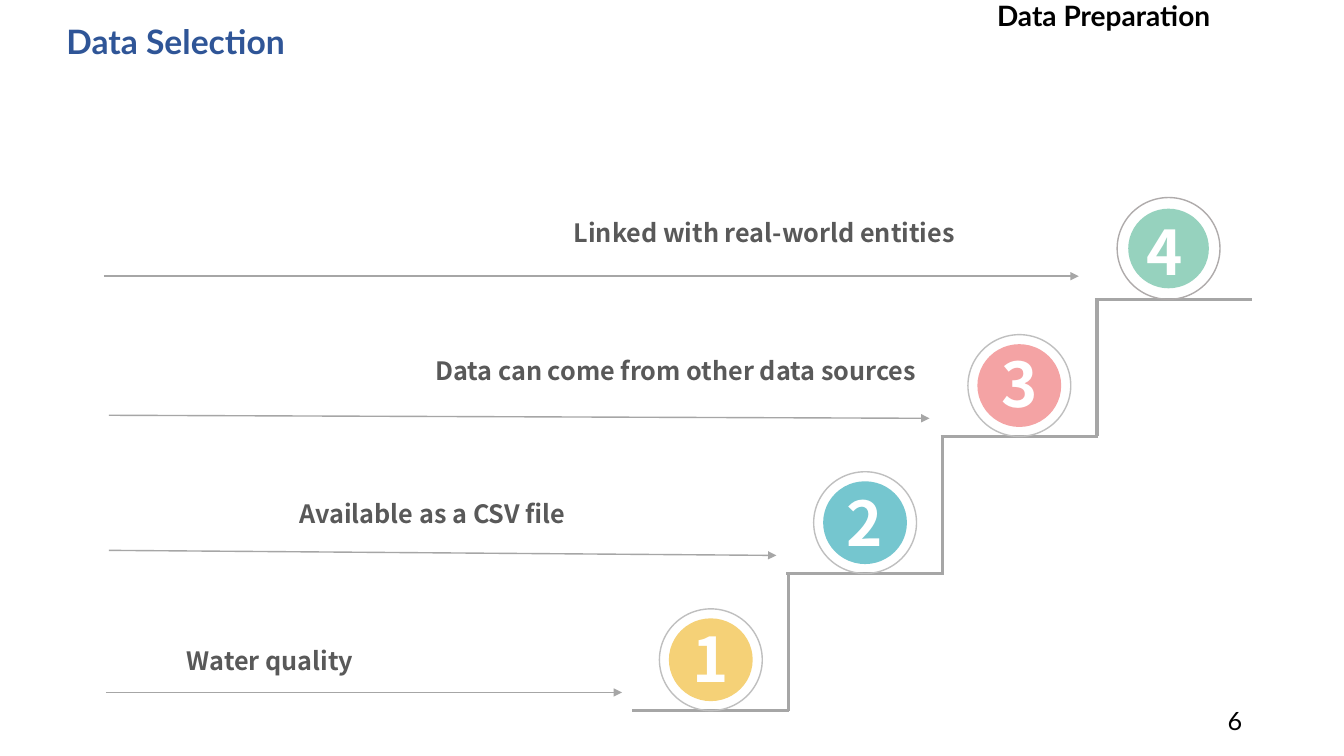
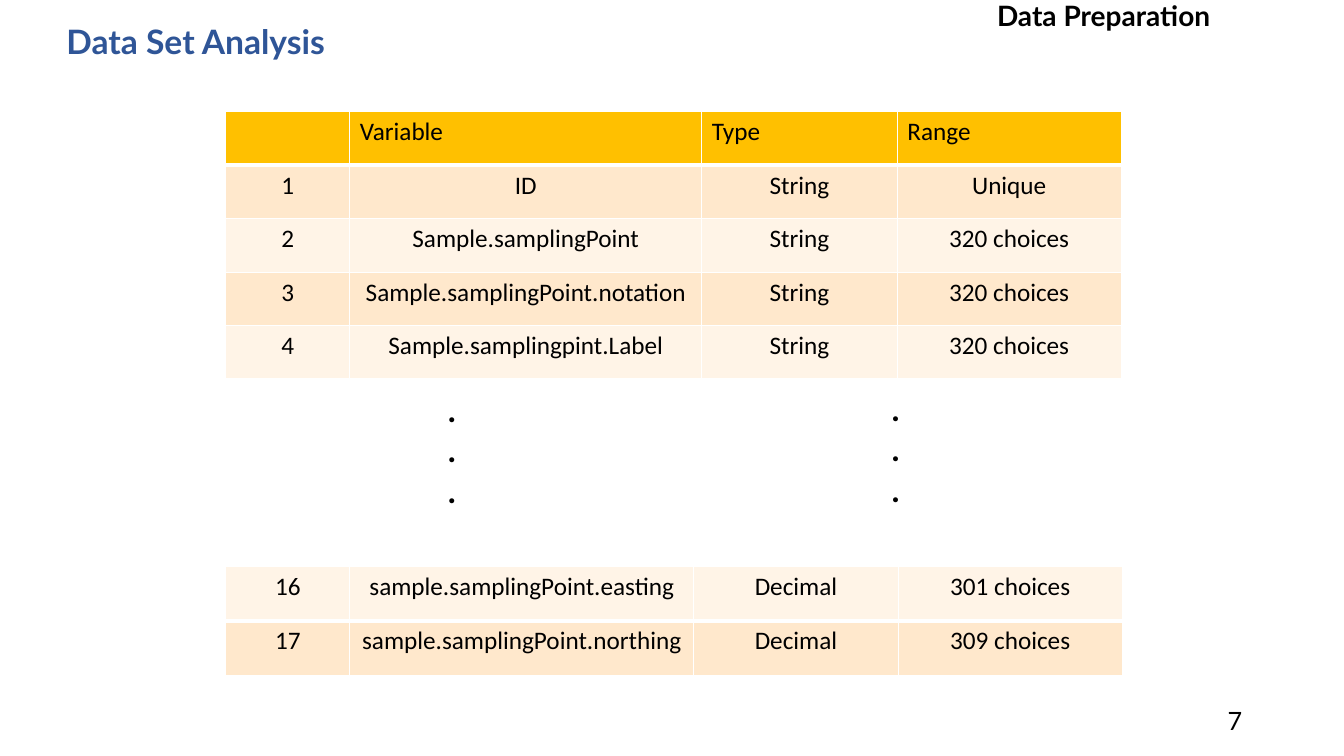
"""Builds two data preparation slides: a staircase of criteria and a variable table."""
from lxml import etree
from pptx import Presentation
from pptx.dml.color import RGBColor
from pptx.enum.shapes import MSO_CONNECTOR, MSO_SHAPE
from pptx.enum.text import MSO_ANCHOR, MSO_AUTO_SIZE, PP_ALIGN
from pptx.oxml.ns import qn
from pptx.util import Emu, Pt

STRAIGHT, OVAL = MSO_CONNECTOR.STRAIGHT, MSO_SHAPE.OVAL
TOP, MIDDLE = MSO_ANCHOR.TOP, MSO_ANCHOR.MIDDLE
LEFT, CENTER, RIGHT = PP_ALIGN.LEFT, PP_ALIGN.CENTER, PP_ALIGN.RIGHT
FIT = MSO_AUTO_SIZE.SHAPE_TO_FIT_TEXT


class Theme:
    """Colours, fonts and type sizes."""
    black, white, blue, text = "000000", "FFFFFF", "2F5597", "595959"
    line, ring = "A6A6A6", "BFBFBF"
    header, band_dark, band_light = "FFC000", "FFE8CC", "FFF4E7"
    head_font, label_font, body_font = "Lato", "Noto Sans CJK SC", "Calibri"
    title, section, body, digit, dots = 24, 20, 18, 44, 24


SECTION = "Data Preparation"
STEPS = [
    dict(label="Water quality", box=(78, 635, 380, 40), arrow=(105, 687, 617, 687),
         fill="F5D177", ring=Theme.ring, ring_dx=27, digit=(23, 7)),
    dict(label="Available as a CSV file", box=(119, 489, 620, 40), arrow=(108, 546, 770, 551),
         fill="75C6CF", ring=Theme.ring, ring_dx=27, digit=(23, 8)),
    dict(label="Data can come from other data sources", box=(213, 348, 914, 40),
         arrow=(108, 412, 922, 415), fill="F4A3A4", ring=Theme.ring, ring_dx=27, digit=(23, 6)),
    dict(label="Linked with real-world entities", box=(385, 211, 746, 40),
         arrow=(103, 274, 1070, 274), fill="96D2BE", ring="AFABAB", ring_dx=22, digit=(19, 11),
         outlined=False),
]
STEP_X, STEP_Y, STEP_DX, STEP_DY, TREAD = 627, 705, 153, 136, 156
RING = 101
DISC_W, DISC_H, DISC_GAP = 80, 79, 11

HEADER = ["", "Variable", "Type", "Range"]
FIRST_ROWS = [
    ["1", "ID", "String", "Unique"],
    ["2", "Sample.samplingPoint", "String", "320 choices"],
    ["3", "Sample.samplingPoint.notation", "String", "320 choices"],
    ["4", "Sample.samplingpint.Label", "String", "320 choices"],
]
LAST_ROWS = [
    ["16", "sample.samplingPoint.easting", "Decimal", "301 choices"],
    ["17", "sample.samplingPoint.northing", "Decimal", "309 choices"],
]
DOTS_AT = [(434, 381), (874, 380)]


def px(n):
    return Emu(n * 9144)


def rgb(color):
    return RGBColor.from_string(color)


def write(tf, text, size=Theme.body, color=Theme.black, font=Theme.body_font,
          bold=False, align=LEFT, spacing=None):
    for i, line in enumerate(text.split("\n")):
        p = tf.add_paragraph() if i else tf.paragraphs[0]
        p.alignment = align
        if spacing:
            p.line_spacing = spacing
        r = p.add_run()
        r.text = line
        r.font.size, r.font.name, r.font.bold = Pt(size), font, bold
        r.font.color.rgb = rgb(color)


def add_text(s, box, text, anchor=TOP, wrap=True, fit=False, **style):
    tf = s.shapes.add_textbox(*map(px, box)).text_frame
    tf.word_wrap, tf.vertical_anchor = wrap, anchor
    if fit:
        tf.auto_size = FIT
    write(tf, text, **style)


def add_line(s, ends, width, arrow=False):
    c = s.shapes.add_connector(STRAIGHT, *map(px, ends))
    c.line.color.rgb, c.line.width = rgb(Theme.line), Pt(width)
    if arrow:
        etree.SubElement(c.line._get_or_add_ln(), qn("a:tailEnd"), type="triangle")
    etree.SubElement(c._element.spPr, qn("a:effectLst"))


def add_oval(s, box, fill=None, line=None, width=1):
    sp = s.shapes.add_shape(OVAL, *map(px, box))
    sp.shadow.inherit = False
    if fill:
        sp.fill.solid()
        sp.fill.fore_color.rgb = rgb(fill)
    else:
        sp.fill.background()
    if line:
        sp.line.color.rgb, sp.line.width = rgb(line), Pt(width)
    else:
        sp.line.fill.background()


def add_step(s, i, step):
    x, y = STEP_X + i * STEP_DX, STEP_Y - i * STEP_DY
    add_line(s, (x, y, x + TREAD, y), 2.25)
    if i:
        add_line(s, (x + 2, y, x + 2, y + STEP_DY), 2.25)
    rx, ry = x + step["ring_dx"], y - RING
    add_oval(s, (rx, ry, RING + 1, RING), line=step["ring"])
    add_oval(s, (rx + DISC_GAP, ry + DISC_GAP, DISC_W, DISC_H), fill=step["fill"],
             line=step["fill"] if step.get("outlined", True) else None, width=2.25)
    dx, dy = step["digit"]
    add_text(s, (rx + dx, ry + dy, 58, 84), str(i + 1), wrap=False, fit=True,
             size=Theme.digit, color=Theme.white, font=Theme.label_font, bold=True)
    add_line(s, step["arrow"], 1, arrow=True)
    add_text(s, step["box"], step["label"], fit=True, color=Theme.text,
             font=Theme.label_font, bold=True, align=CENTER)


def set_borders(cell, bottom):
    tc_pr = cell._tc.get_or_add_tcPr()
    for i, (side, width) in enumerate([("L", 1), ("R", 1), ("T", 1), ("B", bottom)]):
        ln = etree.Element(qn(f"a:ln{side}"), w=str(Pt(width)))
        solid = etree.SubElement(ln, qn("a:solidFill"))
        etree.SubElement(solid, qn("a:srgbClr"), val=Theme.white)
        tc_pr.insert(i, ln)


def add_grid(s, x, y, cols, row_h, rows, fills):
    frame = s.shapes.add_table(len(rows), len(cols), px(x), px(y),
                               px(sum(cols)), px(row_h * len(rows)))
    table = frame.table
    table.first_row = table.horz_banding = False
    for col, width in zip(table.columns, cols):
        col.width = px(width)
    for i, (values, fill) in enumerate(zip(rows, fills)):
        table.rows[i].height = px(row_h)
        for j, value in enumerate(values):
            cell = table.cell(i, j)
            cell.fill.solid()
            cell.fill.fore_color.rgb = rgb(fill)
            set_borders(cell, 1 if i else 3)
            if value:
                write(cell.text_frame, value, align=LEFT if values is HEADER else CENTER)


def add_slide(prs, title, number):
    s = prs.slides.add_slide(prs.slide_layouts[6])
    head = dict(anchor=MIDDLE, font=Theme.head_font)
    add_text(s, (942, 695, 300, 40), str(number), align=RIGHT, **head)
    add_text(s, (979, -13, 269, 56), SECTION, size=Theme.section, bold=True, **head)
    add_text(s, (56, 15, 718, 56), title, size=Theme.title, color=Theme.blue,
             bold=True, spacing=0.9, **head)
    return s


def main():
    prs = Presentation()
    prs.slide_width, prs.slide_height = px(1333), px(750)

    s = add_slide(prs, "Data Selection", 6)
    for i, step in enumerate(STEPS):
        add_step(s, i, step)

    s = add_slide(prs, "Data Set Analysis", 7)
    bands = [Theme.band_dark, Theme.band_light]
    add_grid(s, 224, 111, [123, 349, 194, 222], 53, [HEADER] + FIRST_ROWS,
             [Theme.header] + bands * 2)
    add_grid(s, 224, 562, [123, 341, 203, 222], 54, LAST_ROWS, bands[::-1])
    for x, y in DOTS_AT:
        add_text(s, (x, y, 83, 131), ".\n.\n.", fit=True, size=Theme.dots, bold=True)

    prs.save("out.pptx")


if __name__ == "__main__":
    main()
